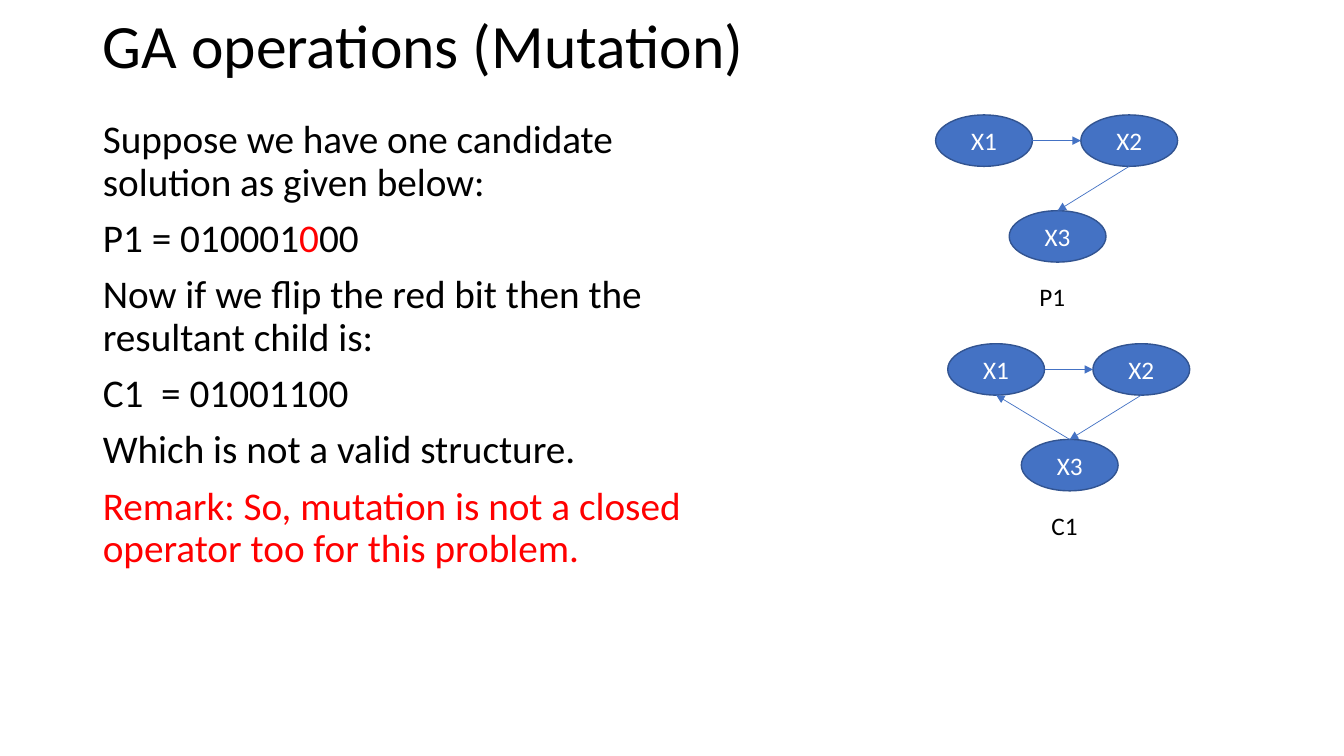
from dataclasses import dataclass
from lxml import etree
from pptx import Presentation
from pptx.dml.color import RGBColor
from pptx.enum import shapes, text
from pptx.oxml import ns
from pptx.util import Inches, Pt


@dataclass(frozen=True)
class Theme:
    font: str = "Calibri"
    ink: str = "000000"
    accent: str = "FF0000"
    node: str = "4472C4"
    node_edge: str = "325491"
    node_text: str = "FFFFFF"
    title_size: int = 44
    body_size: int = 28
    label_size: int = 18


THEME = Theme()

# Content: each body paragraph is a list of (words, colour)
TITLE = "GA operations (Mutation)"
BODY = [
    [("Suppose we have one candidate solution as given below:", THEME.ink)],
    [("P1 = 010001", THEME.ink), ("0", THEME.accent), ("00", THEME.ink)],
    [("Now if we flip the red bit then the resultant child is:", THEME.ink)],
    [("C1  = 01001100", THEME.ink)],
    [("Which is not a valid structure.", THEME.ink)],
    [("Remark: So, mutation is not a closed operator too for this problem.",
      THEME.accent)],
]
# Each graph: caption, left, top, edges as (node, side, node, side)
PARENT_EDGES = [("X1", "right", "X2", "left"), ("X2", "bottom", "X3", "top")]
GRAPHS = [
    ("P1", 9.28, 1.14, PARENT_EDGES),
    ("C1", 9.4, 3.41, PARENT_EDGES + [("X3", "top", "X1", "bottom")]),
]

# Geometry in inches, offsets from a graph's top left corner
NODE_W, NODE_H = 0.96, 0.51
NODE_OFFSETS = {"X1": (0, 0), "X2": (1.44, 0), "X3": (0.73, 0.95)}
CAPTION_OFFSET = (0.93, 1.6)
SIDES = {"top": (0.5, 0), "left": (0, 0.5), "bottom": (0.5, 1), "right": (1, 0.5)}


def place(shape, left, top, width, height):
    shape.left, shape.top = Inches(left), Inches(top)
    shape.width, shape.height = Inches(width), Inches(height)


def style(run, size, color):
    run.font.name = THEME.font
    run.font.size = Pt(size)
    run.font.color.rgb = RGBColor.from_string(color)


def add_node(slide, name, left, top):
    node = slide.shapes.add_shape(
        shapes.MSO_SHAPE.OVAL, Inches(left), Inches(top), Inches(NODE_W), Inches(NODE_H))
    node.shadow.inherit = False
    node.fill.solid()
    node.fill.fore_color.rgb = RGBColor.from_string(THEME.node)
    node.line.color.rgb = RGBColor.from_string(THEME.node_edge)
    node.line.width = Pt(1)
    frame = node.text_frame
    frame.text = name
    frame.vertical_anchor = text.MSO_ANCHOR.MIDDLE
    frame.paragraphs[0].alignment = text.PP_ALIGN.CENTER
    style(frame.paragraphs[0].runs[0], THEME.label_size, THEME.node_text)


def add_arrow(slide, start, end):
    arrow = slide.shapes.add_connector(
        shapes.MSO_CONNECTOR.STRAIGHT, *(Inches(value) for value in start + end))
    arrow.line.color.rgb = RGBColor.from_string(THEME.node)
    arrow.line.width = Pt(0.5)
    etree.SubElement(arrow.line._get_or_add_ln(), ns.qn("a:tailEnd"), type="triangle")
    etree.SubElement(arrow._element.spPr, ns.qn("a:effectLst"))


def add_graph(slide, caption, left, top, edges):
    def anchor(name, side):
        (dx, dy), (across, down) = NODE_OFFSETS[name], SIDES[side]
        return left + dx + across * NODE_W, top + dy + down * NODE_H

    for name, (dx, dy) in NODE_OFFSETS.items():
        add_node(slide, name, left + dx, top + dy)
    for source, source_side, target, target_side in edges:
        add_arrow(slide, anchor(source, source_side), anchor(target, target_side))

    dx, dy = CAPTION_OFFSET
    label = slide.shapes.add_textbox(
        Inches(left + dx), Inches(top + dy), Inches(0.46), Inches(0.4))
    label.text_frame.text = caption
    label.text_frame.word_wrap = False
    label.text_frame.auto_size = text.MSO_AUTO_SIZE.SHAPE_TO_FIT_TEXT
    style(label.text_frame.paragraphs[0].runs[0], THEME.label_size, THEME.ink)


def add_title(slide):
    title = slide.shapes.title
    place(title, 0.92, 0, 11.5, 0.97)
    frame = title.text_frame
    frame.text = TITLE
    frame.auto_size = text.MSO_AUTO_SIZE.NONE
    frame.vertical_anchor = text.MSO_ANCHOR.MIDDLE
    heading = frame.paragraphs[0]
    heading.alignment = text.PP_ALIGN.LEFT
    heading.line_spacing = 0.9
    style(heading.runs[0], THEME.title_size, THEME.ink)


def add_body(slide):
    body = slide.placeholders[1]
    place(body, 0.92, 1.14, 6.6, 4.76)
    frame = body.text_frame
    frame.auto_size = text.MSO_AUTO_SIZE.NONE
    for index, pieces in enumerate(BODY):
        paragraph = frame.add_paragraph() if index else frame.paragraphs[0]
        paragraph.line_spacing = 0.9
        paragraph.space_before = Pt(10)
        # No bullet and no hanging indent
        properties = paragraph._p.get_or_add_pPr()
        properties.set("marL", "0")
        properties.set("indent", "0")
        etree.SubElement(properties, ns.qn("a:buNone"))
        for words, color in pieces:
            run = paragraph.add_run()
            run.text = words
            style(run, THEME.body_size, color)


def main():
    deck = Presentation()
    deck.slide_width, deck.slide_height = Inches(13.33), Inches(7.5)
    slide = deck.slides.add_slide(deck.slide_layouts[1])
    add_title(slide)
    add_body(slide)
    for graph in GRAPHS:
        add_graph(slide, *graph)
    deck.save("out.pptx")


if __name__ == "__main__":
    main()
